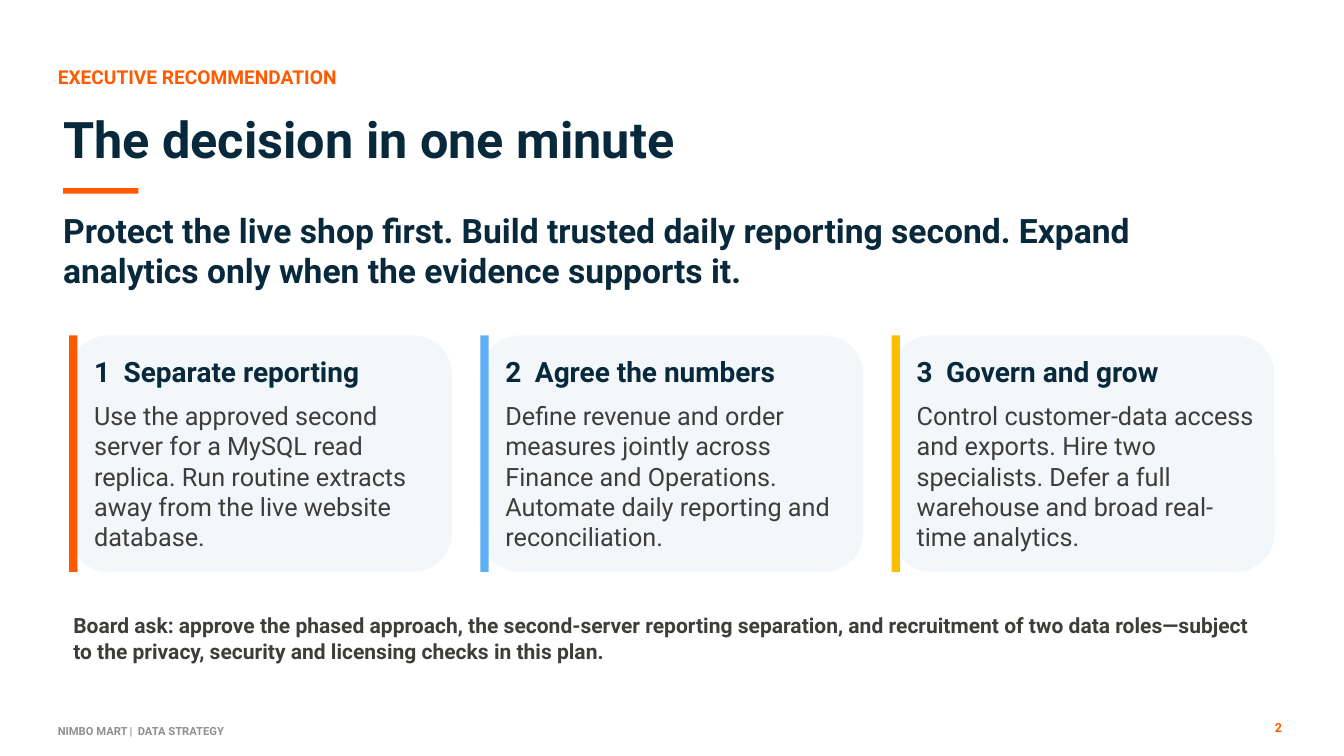
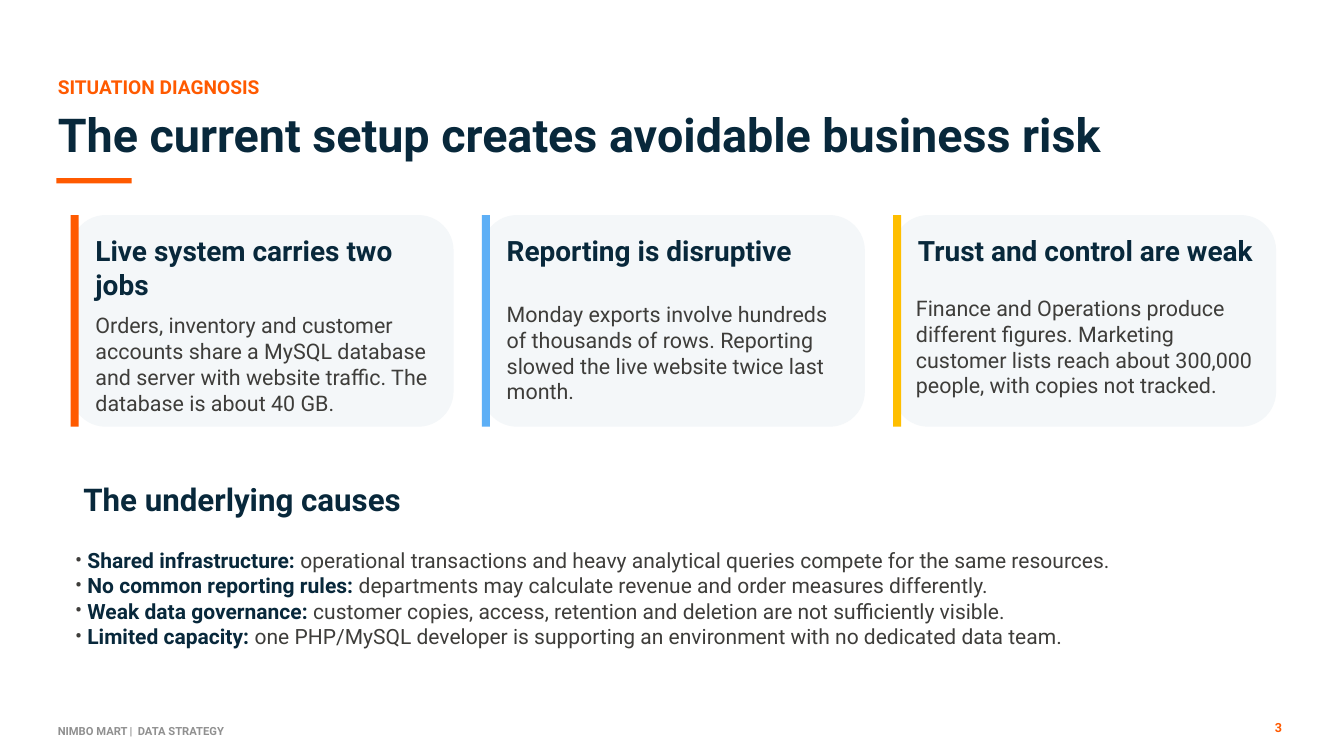
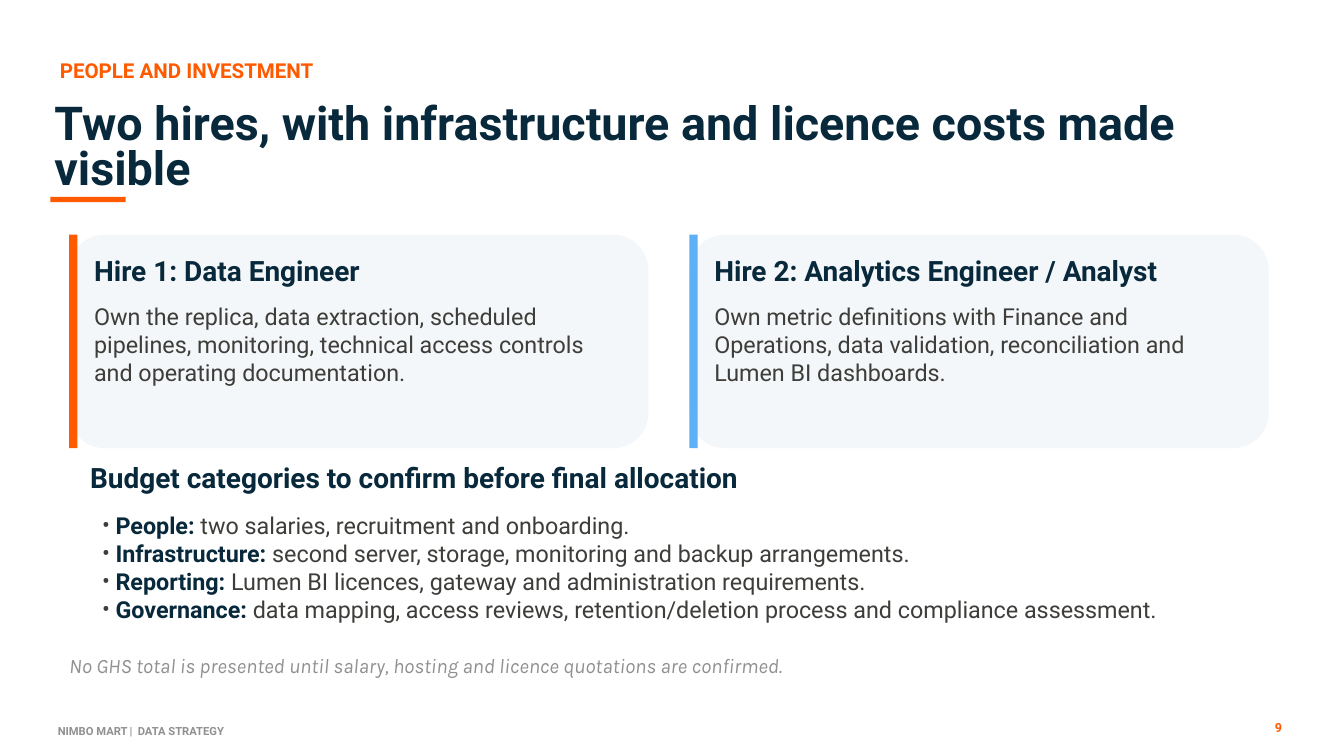
from dataclasses import dataclass

import pptx
import pptx.dml.color
import pptx.enum.shapes
import pptx.enum.text
import pptx.oxml
import pptx.oxml.ns
import pptx.util

PX = 9144  # EMU per px, 100 px to the inch
TITLE_ONLY = 5
COLORS = {
    "orange": "FF5A00",
    "blue": "5DAFF6",
    "yellow": "FEBE00",
    "navy": "08283B",
    "text": "3E3D3A",
    "muted": "909090",
    "panel": "F4F7F9",
}
ACCENTS = ("orange", "blue", "yellow")
FOOTER = "NIMBO MART\t|\tDATA STRATEGY"
FOOTER_TABS = (107, 119)
NUMBER_TAB = 44


@dataclass(frozen=True)
class Box:
    left: int
    top: int
    width: int
    height: int

    def emu(self) -> tuple[int, ...]:
        return tuple(side * PX for side in (self.left, self.top, self.width, self.height))


@dataclass(frozen=True)
class Style:
    size: float
    color: str
    bold: bool = True
    italic: bool = False
    name: str = "Roboto"
    spacing: float = 1.2
    align: str = "LEFT"
    tabs: tuple[int, ...] = ()


@dataclass(frozen=True)
class Header:
    eyebrow: str
    eyebrow_box: Box
    eyebrow_size: float
    title: str
    title_box: Box
    title_style: Style
    rule_left: int
    rule_top: int
    page: int


@dataclass(frozen=True)
class Card:
    heading: str
    body: str
    body_top: int
    body_shift: int = 0


@dataclass(frozen=True)
class CardRow:
    first: Box
    gap: int
    body_size: float
    cards: tuple[Card, ...]


@dataclass(frozen=True)
class BulletList:
    box: Box
    size: float
    indent: int
    items: tuple[tuple[str, str], ...]


def rgb(color: str) -> pptx.dml.color.RGBColor:
    return pptx.dml.color.RGBColor.from_string(COLORS[color])


def add_run(paragraph, text: str, style: Style) -> None:
    run = paragraph.add_run()
    run.text = text
    values = {
        "name": style.name,
        "size": pptx.util.Pt(style.size),
        "bold": style.bold,
        "italic": style.italic,
    }
    for attribute, value in values.items():
        setattr(run.font, attribute, value)
    run.font.color.rgb = rgb(style.color)


def append_xml(paragraph, *elements: str) -> None:
    """Append paragraph property elements in the given order."""
    properties = paragraph._p.get_or_add_pPr()
    namespace = pptx.oxml.ns.nsdecls("a")
    for element in elements:
        tag, rest = element.split(" ", 1)
        properties.append(pptx.oxml.parse_xml(f"<{tag} {namespace} {rest}"))


def format_paragraph(paragraph, style: Style) -> None:
    paragraph.alignment = getattr(pptx.enum.text.PP_ALIGN, style.align)
    paragraph.line_spacing = pptx.util.Pt(round(style.size * style.spacing, 1))
    if style.tabs:
        stops = "".join(f'<a:tab pos="{tab * PX}" algn="l"/>' for tab in style.tabs)
        append_xml(paragraph, f"a:tabLst >{stops}</a:tabLst>")


def prepare_frame(shape):
    """Give a text shape zero insets, top anchoring and wrapping."""
    frame = shape.text_frame
    values = {
        "margin_left": 0,
        "margin_top": 0,
        "margin_right": 0,
        "margin_bottom": 0,
        "word_wrap": True,
        "auto_size": pptx.enum.text.MSO_AUTO_SIZE.NONE,
        "vertical_anchor": pptx.enum.text.MSO_ANCHOR.TOP,
    }
    for attribute, value in values.items():
        setattr(frame, attribute, value)
    return frame


def fill_text(shape, text: str, style: Style) -> None:
    paragraph = prepare_frame(shape).paragraphs[0]
    format_paragraph(paragraph, style)
    add_run(paragraph, text, style)


def add_text(slide, box: Box, text: str, style: Style) -> None:
    fill_text(slide.shapes.add_textbox(*box.emu()), text, style)


def add_block(slide, box: Box, color: str, kind: str = "RECTANGLE") -> None:
    preset = getattr(pptx.enum.shapes.MSO_SHAPE, kind)
    shape = slide.shapes.add_shape(preset, *box.emu())
    shape.shadow.inherit = False
    shape.fill.solid()
    shape.fill.fore_color.rgb = rgb(color)
    shape.line.fill.background()


def add_framed_slide(presentation, header: Header):
    """Add a slide with its eyebrow, title, short rule and footer."""
    slide = presentation.slides.add_slide(presentation.slide_layouts[TITLE_ONLY])
    title = slide.shapes.title
    title.left, title.top, title.width, title.height = header.title_box.emu()
    fill_text(title, header.title, header.title_style)
    add_text(slide, header.eyebrow_box, header.eyebrow, Style(header.eyebrow_size, "orange"))
    add_block(slide, Box(header.rule_left, header.rule_top, 112, 8), "orange")
    add_text(slide, Box(86, 1078, 1042, 19), FOOTER, Style(12, "muted", tabs=FOOTER_TABS))
    add_text(slide, Box(1841, 1071, 67, 26), str(header.page),
             Style(13.5, "orange", align="RIGHT"))
    return slide


def add_cards(slide, row: CardRow) -> None:
    first = row.first
    heading_style = Style(30, "navy", tabs=(NUMBER_TAB,))
    body_style = Style(row.body_size, "text", bold=False)
    for index, (card, accent) in enumerate(zip(row.cards, ACCENTS)):
        left = first.left + index * (first.width + row.gap)
        text_left, text_width = left + 37, first.width - 68
        add_block(slide, Box(left, first.top, first.width, first.height),
                  "panel", "ROUNDED_RECTANGLE")
        add_block(slide, Box(left, first.top, 12, first.height), accent)
        add_text(slide, Box(text_left, first.top + 28, text_width, 50),
                 card.heading, heading_style)
        add_text(slide, Box(text_left + card.body_shift, first.top + card.body_top,
                            text_width, first.height - card.body_top),
                 card.body, body_style)


def add_bullets(slide, bullets: BulletList) -> None:
    frame = prepare_frame(slide.shapes.add_textbox(*bullets.box.emu()))
    label_style = Style(bullets.size, "navy")
    body_style = Style(bullets.size, "text", bold=False)
    for index, (label, body) in enumerate(bullets.items):
        paragraph = frame.add_paragraph() if index else frame.paragraphs[0]
        format_paragraph(paragraph, body_style)
        properties = paragraph._p.get_or_add_pPr()
        properties.set("marL", str(bullets.indent * PX))
        properties.set("indent", str(-bullets.indent * PX))
        append_xml(
            paragraph,
            f'a:buClr ><a:srgbClr val="{COLORS["text"]}"/></a:buClr>',
            'a:buFont typeface="Roboto"/>',
            'a:buChar char="•"/>',
        )
        add_run(paragraph, f"{label}: ", label_style)
        add_run(paragraph, body, body_style)


def build_decision(presentation) -> None:
    slide = add_framed_slide(presentation, Header(
        "EXECUTIVE RECOMMENDATION", Box(86, 98, 1492, 33), 20.5,
        "The decision in one minute", Box(94, 161, 910, 90), Style(54, "navy"),
        94, 280, 2,
    ))
    add_text(slide, Box(94, 312, 1777, 125),
             "Protect the live shop first. Build trusted daily reporting second. "
             "Expand analytics only when the evidence supports it.", Style(36, "navy"))
    add_cards(slide, CardRow(Box(103, 499, 570, 352), 42, 27, (
        Card("1\tSeparate reporting",
             "Use the approved second server for a MySQL read replica. "
             "Run routine extracts away from the live website database.", 97),
        Card("2\tAgree the numbers",
             "Define revenue and order measures jointly across Finance and Operations. "
             "Automate daily reporting and reconciliation.", 97),
        Card("3\tGovern and grow",
             "Control customer-data access and exports. Hire two specialists. "
             "Defer a full warehouse and broad real-time analytics.", 97),
    )))
    add_text(slide, Box(109, 912, 1762, 104),
             "Board ask: approve the phased approach, the second-server reporting separation, "
             "and recruitment of two data roles—subject to the privacy, security and "
             "licensing checks in this plan.", Style(22.5, "text"))


def build_diagnosis(presentation) -> None:
    slide = add_framed_slide(presentation, Header(
        "SITUATION DIAGNOSIS", Box(86, 112, 1492, 33), 20.5,
        "The current setup creates avoidable business risk",
        Box(86, 158, 1822, 84), Style(50, "navy"),
        84, 265, 3,
    ))
    add_cards(slide, CardRow(Box(105, 320, 570, 315), 42, 23, (
        Card("Live system carries two jobs",
             "Orders, inventory and customer accounts share a MySQL database and server "
             "with website traffic. The database is about 40 GB.", 145),
        Card("Reporting is disruptive",
             "Monday exports involve hundreds of thousands of rows. "
             "Reporting slowed the live website twice last month.", 128),
        Card("Trust and control are weak",
             "Finance and Operations produce different figures. Marketing customer lists "
             "reach about 300,000 people, with copies not tracked.", 119, -3),
    )))
    add_text(slide, Box(124, 714, 1762, 55), "The underlying causes", Style(33.5, "navy"))
    add_bullets(slide, BulletList(Box(112, 815, 1743, 145), 22.5, 18, (
        ("Shared infrastructure",
         "operational transactions and heavy analytical queries compete for the same resources."),
        ("No common reporting rules",
         "departments may calculate revenue and order measures differently."),
        ("Weak data governance",
         "customer copies, access, retention and deletion are not sufficiently visible."),
        ("Limited capacity",
         "one PHP/MySQL developer is supporting an environment with no dedicated data team."),
    )))


def build_investment(presentation) -> None:
    slide = add_framed_slide(presentation, Header(
        "PEOPLE AND INVESTMENT", Box(89, 86, 1504, 36), 22,
        "Two hires, with infrastructure and licence costs made visible",
        Box(81, 155, 1837, 138), Style(50, "navy", spacing=0.97),
        75, 293, 9,
    ))
    add_cards(slide, CardRow(Box(103, 349, 862, 318), 61, 25, (
        Card("Hire 1: Data Engineer",
             "Own the replica, data extraction, scheduled pipelines, monitoring, "
             "technical access controls and operating documentation.", 100),
        Card("Hire 2: Analytics Engineer / Analyst",
             "Own metric definitions with Finance and Operations, data validation, "
             "reconciliation and Lumen BI dashboards.", 100),
    )))
    add_text(slide, Box(134, 685, 1731, 50),
             "Budget categories to confirm before final allocation", Style(30, "navy"))
    add_bullets(slide, BulletList(Box(152, 761, 1696, 161), 25, 20, (
        ("People", "two salaries, recruitment and onboarding."),
        ("Infrastructure", "second server, storage, monitoring and backup arrangements."),
        ("Reporting", "Lumen BI licences, gateway and administration requirements."),
        ("Governance", "data mapping, access reviews, retention/deletion process "
                       "and compliance assessment."),
    )))
    add_text(slide, Box(103, 971, 1702, 36),
             "No GHS total is presented until salary, hosting and licence quotations "
             "are confirmed.", Style(22, "muted", bold=False, italic=True, name="Karla"))


def main() -> None:
    presentation = pptx.Presentation()
    presentation.slide_width = 2000 * PX
    presentation.slide_height = 1125 * PX
    build_decision(presentation)
    build_diagnosis(presentation)
    build_investment(presentation)
    presentation.save("out.pptx")


if __name__ == "__main__":
    main()
